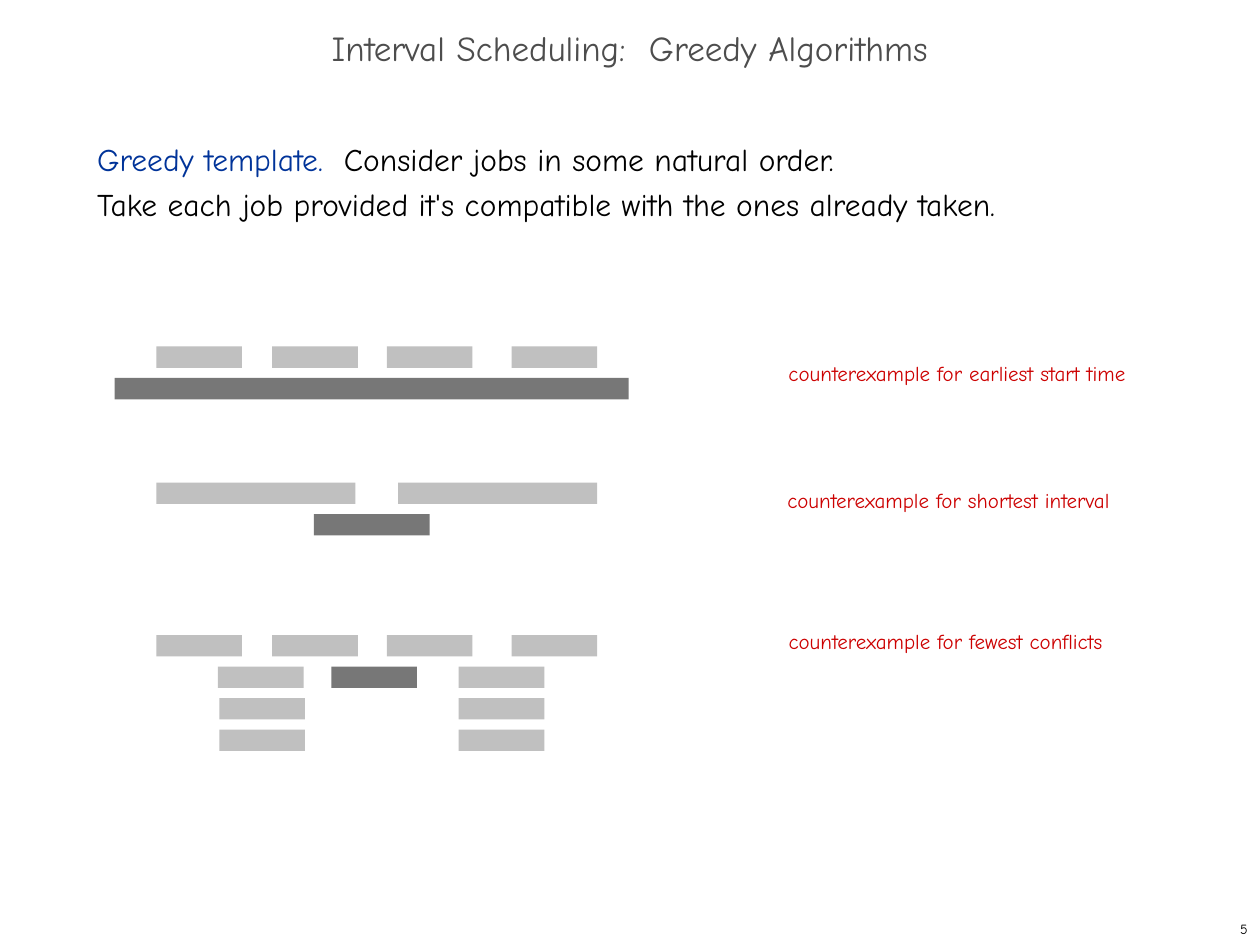
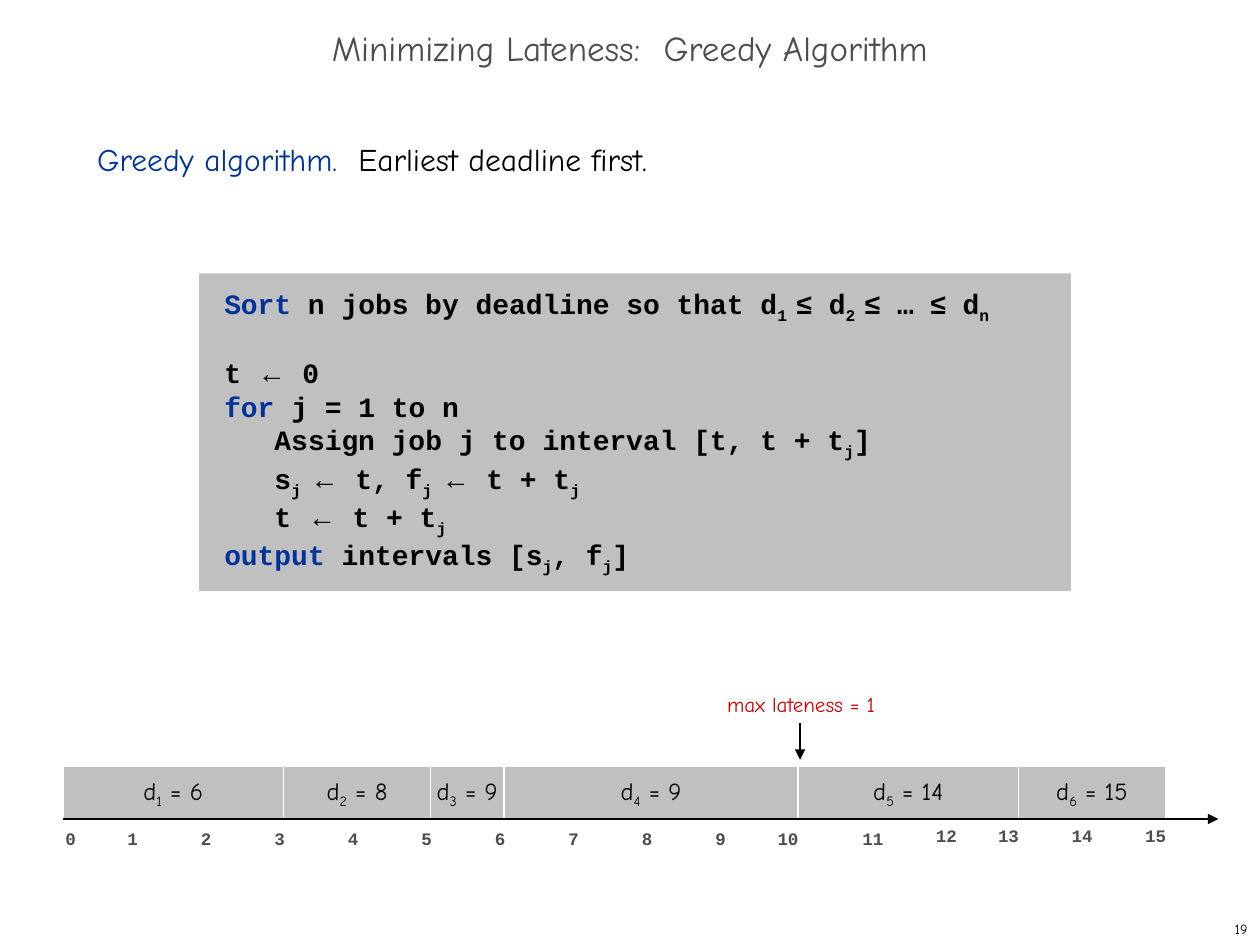
from itertools import accumulate, groupby

from lxml.etree import SubElement
from pptx import Presentation
from pptx.dml.color import RGBColor
from pptx.enum.shapes import MSO_CONNECTOR, MSO_SHAPE
from pptx.enum.text import MSO_ANCHOR as Anchor, MSO_AUTO_SIZE as AutoSize, PP_ALIGN as Align
from pptx.oxml.ns import qn
from pptx.util import Inches, Pt

BLACK = RGBColor(0x00, 0x00, 0x00)
WHITE = RGBColor(0xFF, 0xFF, 0xFF)
TITLE_GRAY = RGBColor(0x4D, 0x4D, 0x4D)
LIGHT_GRAY = RGBColor(0xC0, 0xC0, 0xC0)
DARK_GRAY = RGBColor(0x77, 0x77, 0x77)
BLUE = RGBColor(0x00, 0x33, 0x99)
RED = RGBColor(0xCC, 0x00, 0x00)

BODY_FONT = "Comic Neue"
CODE_FONT = "Courier New"
SYMBOL_FONT = "Arial"
SYMBOLS = "≤←"

BAR_HEIGHT = 0.17
BAR_STEP = 0.25
SHORT_BAR = 0.68
FOUR_JOBS = [(left, SHORT_BAR, LIGHT_GRAY) for left in (1.24, 2.16, 3.07, 4.06)]

# caption, caption box (left, top, width), top of the bars, rows of (left, width, colour)
COUNTEREXAMPLES = [
    ("counterexample for earliest start time", (6.16, 2.81, 2.9), 2.75,
     [FOUR_JOBS, [(0.91, 4.08, DARK_GRAY)]]),
    ("counterexample for shortest interval", (6.15, 3.82, 2.79), 3.83,
     [[(1.24, 1.58, LIGHT_GRAY), (3.16, 1.58, LIGHT_GRAY)], [(2.49, 0.92, DARK_GRAY)]]),
    ("counterexample for fewest conflicts", (6.16, 4.94, 2.72), 5.04,
     [FOUR_JOBS,
      [(1.73, SHORT_BAR, LIGHT_GRAY), (2.63, SHORT_BAR, DARK_GRAY), (3.64, SHORT_BAR, LIGHT_GRAY)]]
     + [[(1.74, SHORT_BAR, LIGHT_GRAY), (3.64, SHORT_BAR, LIGHT_GRAY)]] * 2),
]

# keyword, rest of the line (subscripts between tildes), space before in points
CODE_LINES = [
    ("Sort", " n jobs by deadline so that d~1 ~≤ d~2 ~≤ … ≤ d~n", 0),
    ("", "t ← 0", 18),
    ("for", " j = 1 to n", 0),
    ("", "   Assign job j to interval [t, t + t~j~]", 0),
    ("", "   s~j ~← t, f~j ~← t + t~j", 0),
    ("", "   t ← t + t~j", 0),
    ("output", " intervals [s~j~, f~j~]", 0),
]

DURATIONS = [3, 2, 1, 4, 3, 2]
DEADLINES = [6, 8, 9, 9, 14, 15]
TIME_UNIT = 7 / 12
AXIS_LEFT = 0.5
AXIS_TOP = 6.5
JOB_HEIGHT = 0.42
TICK_SHIFTS = {0: 0.09, 10: -0.09, 13: -0.09, 14: -0.09, 15: -0.09}


def box(left, top, width, height):
    return [Inches(length) for length in (left, top, width, height)]


class Deck:
    def __init__(self):
        self.presentation = Presentation()
        self.presentation.slide_width = Inches(10)
        self.presentation.slide_height = Inches(7.5)
        self.slide = None
        self.shapes = None

    def start_slide(self, title, lead, lines, number):
        self.slide = self.presentation.slides.add_slide(self.presentation.slide_layouts[1])
        self.shapes = self.slide.shapes
        self.title(title)
        self.body(lead, lines)
        page = self.text_box(7.92, 7.25, 2.08, 0.25, str(number), 8, BLACK, align=Align.RIGHT)
        page.text_frame.vertical_anchor = Anchor.MIDDLE

    def start_group(self):
        """Make a new group take the elements that follow."""
        self.shapes = self.slide.shapes.add_group_shape().shapes

    def end_group(self):
        self.shapes = self.slide.shapes

    def run(self, paragraph, text, size, color, font=BODY_FONT, bold=False, subscript=False):
        run = paragraph.add_run()
        run.text = text
        run.font.name = font
        run.font.size = Pt(size)
        run.font.bold = bold
        run.font.color.rgb = color
        if subscript:
            run.font._element.set("baseline", "-25000")

    def marked_runs(self, paragraph, text, size, font=BODY_FONT, bold=False):
        """Add text whose subscripts stand between tildes; symbols get their own font."""
        for index, part in enumerate(text.split("~")):
            for is_symbol, characters in groupby(part, lambda character: character in SYMBOLS):
                self.run(paragraph, "".join(characters), size, BLACK,
                         SYMBOL_FONT if is_symbol else font, bold, subscript=index % 2 == 1)

    def place(self, placeholder, area, anchor):
        placeholder.left, placeholder.top, placeholder.width, placeholder.height = box(*area)
        frame = placeholder.text_frame
        frame.auto_size = AutoSize.NONE
        frame.vertical_anchor = anchor
        return frame.paragraphs[0]

    def title(self, text):
        paragraph = self.place(self.slide.shapes.title, (0, 0.17, 10, 0.5), Anchor.MIDDLE)
        paragraph.alignment = Align.CENTER
        paragraph.line_spacing = 0.7
        self.run(paragraph, text, 20, TITLE_GRAY)

    def body(self, lead, lines):
        paragraph = self.place(self.slide.placeholders[1], (0.67, 1, 8.58, 5.92), Anchor.TOP)
        properties = paragraph._p.get_or_add_pPr()
        properties.set("marL", "0")
        properties.set("indent", "0")
        SubElement(properties, qn("a:buNone"))
        paragraph.space_before = Pt(0)
        paragraph.line_spacing = Pt(26)
        self.run(paragraph, lead, 18, BLUE)
        for index, line in enumerate(lines):
            if index:
                paragraph.add_line_break()
            self.run(paragraph, line, 18, BLACK)

    def text_box(self, left, top, width, height, text, size, color, font=BODY_FONT,
                 bold=False, align=Align.LEFT, wrap=True):
        shape = self.shapes.add_textbox(*box(left, top, width, height))
        shape.text_frame.word_wrap = wrap
        paragraph = shape.text_frame.paragraphs[0]
        paragraph.alignment = align
        self.run(paragraph, text, size, color, font, bold)
        return shape

    def rectangle(self, left, top, width, height, fill, line=None):
        shape = self.shapes.add_shape(MSO_SHAPE.RECTANGLE, *box(left, top, width, height))
        shape.shadow.inherit = False
        shape.fill.solid()
        shape.fill.fore_color.rgb = fill
        if line is None:
            shape.line.fill.background()
        else:
            shape.line.color.rgb = line
            shape.line.width = Pt(0.75)
        return shape

    def job(self, left, width, label):
        shape = self.rectangle(left, AXIS_TOP - JOB_HEIGHT, width, JOB_HEIGHT, LIGHT_GRAY, WHITE)
        shape.text_frame.word_wrap = False
        paragraph = shape.text_frame.paragraphs[0]
        paragraph.alignment = Align.CENTER
        self.marked_runs(paragraph, label, 14)

    def code_box(self, left, top, width, height, lines):
        frame = self.rectangle(left, top, width, height, LIGHT_GRAY).text_frame
        frame.word_wrap = True
        frame.vertical_anchor = Anchor.TOP
        frame.margin_left, frame.margin_right = Inches(0.2), Inches(0.15)
        frame.margin_top = frame.margin_bottom = Inches(0.1)
        for index, (keyword, rest, space_before) in enumerate(lines):
            paragraph = frame.add_paragraph() if index else frame.paragraphs[0]
            paragraph.alignment = Align.LEFT
            paragraph.space_before = Pt(space_before)
            if keyword:
                self.run(paragraph, keyword, 16, BLUE, CODE_FONT, bold=True)
            self.marked_runs(paragraph, rest, 16, CODE_FONT, bold=True)

    def arrow(self, start_x, start_y, end_x, end_y):
        connector = self.shapes.add_connector(
            MSO_CONNECTOR.STRAIGHT, *box(start_x, start_y, end_x, end_y))
        connector.line.color.rgb = BLACK
        connector.line.width = Pt(0.75)
        SubElement(connector.line._get_or_add_ln(), qn("a:tailEnd"), type="triangle")
        SubElement(connector._element.spPr, qn("a:effectLst"))


def add_interval_scheduling(deck):
    deck.start_slide("Interval Scheduling:  Greedy Algorithms", "Greedy template.  ",
                     ["Consider jobs in some natural order.",
                      "Take each job provided it's compatible with the ones already taken."], 5)
    for caption, (left, top, width), bars_top, rows in COUNTEREXAMPLES:
        deck.start_group()
        for row, bars in enumerate(rows):
            for bar_left, bar_width, color in bars:
                deck.rectangle(bar_left, bars_top + row * BAR_STEP, bar_width, BAR_HEIGHT, color)
        deck.text_box(left, top, width, 0.3, caption, 12, RED, wrap=False)
    deck.end_group()


def add_minimizing_lateness(deck):
    deck.start_slide("Minimizing Lateness:  Greedy Algorithm", "Greedy algorithm.  ",
                     ["Earliest deadline first."], 19)
    deck.code_box(1.58, 2.17, 6.92, 2.52, CODE_LINES)

    for time in range(sum(DURATIONS) + 1):
        left = 0.33 + time * TIME_UNIT + TICK_SHIFTS.get(time, 0)
        deck.text_box(left, 6.5 if time >= 12 else 6.52, 0.5, 0.27, str(time), 10,
                      TITLE_GRAY, CODE_FONT, bold=True)

    deck.start_group()
    starts = accumulate(DURATIONS, initial=0)
    for number, (start, duration, deadline) in enumerate(zip(starts, DURATIONS, DEADLINES), 1):
        deck.job(AXIS_LEFT + start * TIME_UNIT, duration * TIME_UNIT, f"d~{number}~ = {deadline}")
    deck.end_group()
    deck.arrow(AXIS_LEFT, AXIS_TOP, 9.67, AXIS_TOP)

    note = deck.text_box(5.77, 5.49, 1.18, 0.2, "max lateness = 1", 12, RED, wrap=False)
    frame = note.text_frame
    frame.margin_left = frame.margin_right = frame.margin_top = frame.margin_bottom = 0
    deck.arrow(6.35, 5.74, 6.35, 6.03)


def main():
    deck = Deck()
    add_interval_scheduling(deck)
    add_minimizing_lateness(deck)
    deck.presentation.save("out.pptx")


if __name__ == "__main__":
    main()
